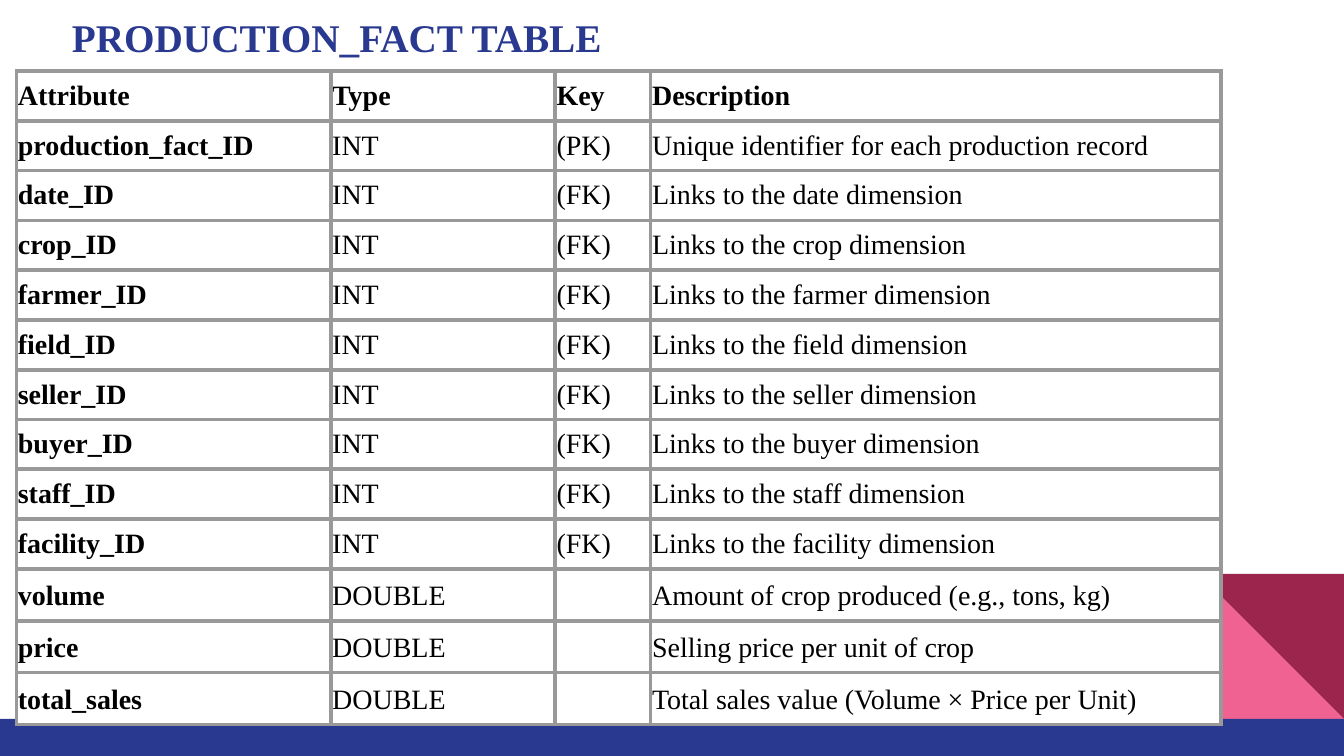
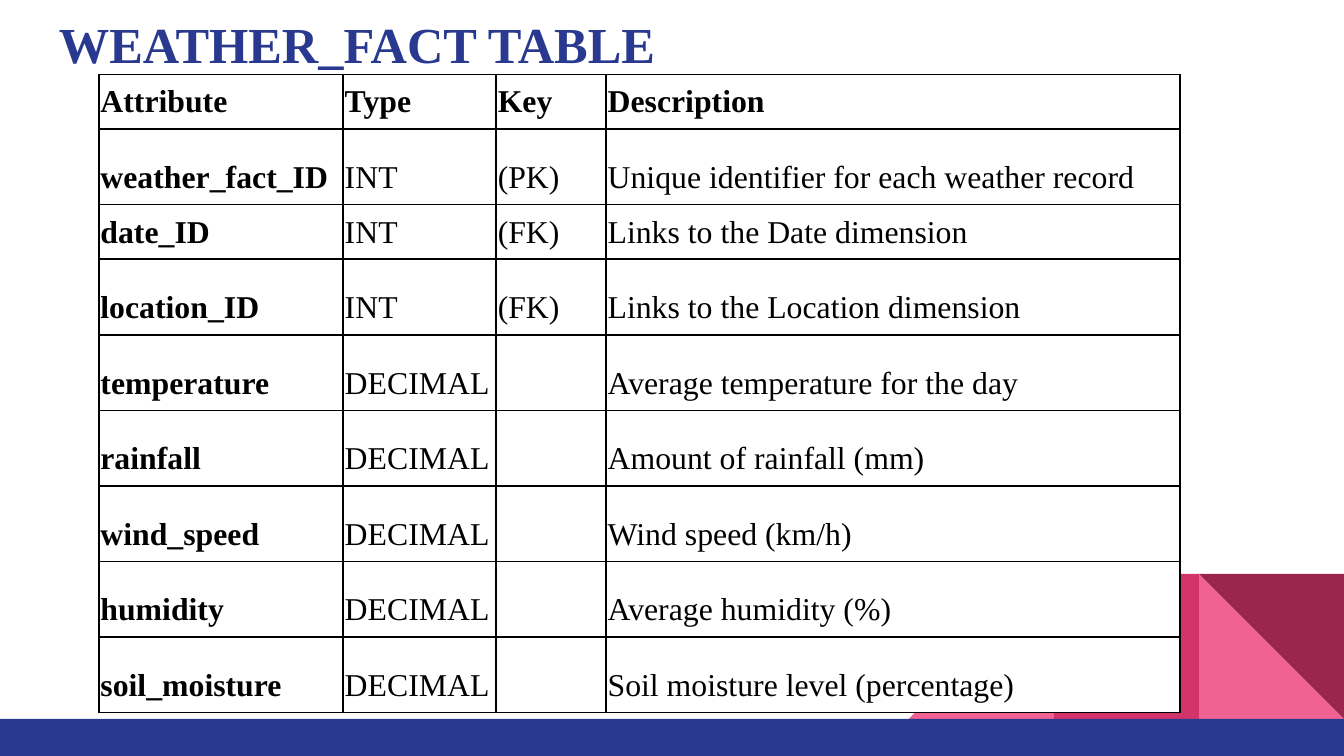
from lxml import etree
from pptx import Presentation
from pptx.dml.color import RGBColor
from pptx.enum.shapes import MSO_SHAPE
from pptx.enum.text import MSO_ANCHOR
from pptx.oxml.ns import qn
from pptx.util import Pt

RECTANGLE = MSO_SHAPE.RECTANGLE
TRIANGLE = MSO_SHAPE.RIGHT_TRIANGLE
TOP = MSO_ANCHOR.TOP
BOTTOM = MSO_ANCHOR.BOTTOM

# Shared look
WHITE = RGBColor(0xFF, 0xFF, 0xFF)
BLACK = RGBColor(0x00, 0x00, 0x00)
GRAY = RGBColor(0x99, 0x99, 0x99)
NAVY = RGBColor(0x2A, 0x39, 0x90)
PINK = RGBColor(0xF0, 0x62, 0x92)
ROSE = RGBColor(0xD2, 0x33, 0x69)
WINE = RGBColor(0x9C, 0x25, 0x4D)
FONT = "Times New Roman"

# Page geometry in points
WIDTH, HEIGHT = 720, 405
BAND_TOP = 385.1
TILE = 77.7

# Table contents
HEADER = ("Attribute", "Type", "Key", "Description")
LINKED = ("date", "crop", "farmer", "field", "seller", "buyer", "staff", "facility")
PRODUCTION_ROWS = [
    HEADER,
    ("production_fact_ID", "INT", "(PK)", "Unique identifier for each production record"),
    *((f"{name}_ID", "INT", "(FK)", f"Links to the {name} dimension") for name in LINKED),
    ("volume", "DOUBLE", "", "Amount of crop produced (e.g., tons, kg)"),
    ("price", "DOUBLE", "", "Selling price per unit of crop"),
    ("total_sales", "DOUBLE", "", "Total sales value (Volume × Price per Unit)"),
]
WEATHER_ROWS = [
    HEADER,
    ("weather_fact_ID", "INT", "(PK)", "Unique identifier for each weather record"),
    ("date_ID", "INT", "(FK)", "Links to the Date dimension"),
    ("location_ID", "INT", "(FK)", "Links to the Location dimension"),
    ("temperature", "DECIMAL", "", "Average temperature for the day"),
    ("rainfall", "DECIMAL", "", "Amount of rainfall (mm)"),
    ("wind_speed", "DECIMAL", "", "Wind speed (km/h)"),
    ("humidity", "DECIMAL", "", "Average humidity (%)"),
    ("soil_moisture", "DECIMAL", "", "Soil moisture level (percentage)"),
]


def add_block(slide, kind, left, top, width, height, color, rotation=0):
    shape = slide.shapes.add_shape(kind, Pt(left), Pt(top), Pt(width), Pt(height))
    shape.shadow.inherit = False
    shape.fill.solid()
    shape.fill.fore_color.rgb = color
    shape.line.fill.background()
    shape.rotation = rotation


def add_decorated_slide(presentation):
    slide = presentation.slides.add_slide(presentation.slide_layouts[6])
    slide.background.fill.solid()
    slide.background.fill.fore_color.rgb = WHITE
    # Corner tiles, counted from the right edge
    for place, kind, color, rotation in (
        (1, TRIANGLE, PINK, 0),
        (3, TRIANGLE, PINK, 270),
        (2, RECTANGLE, ROSE, 0),
        (1, TRIANGLE, WINE, 180),
    ):
        add_block(slide, kind, WIDTH - place * TILE, BAND_TOP - TILE, TILE, TILE, color, rotation)
    # Bottom band
    add_block(slide, RECTANGLE, 0, BAND_TOP, WIDTH, HEIGHT - BAND_TOP, NAVY)
    return slide


def set_font(paragraph, size, color, bold):
    font = paragraph.font
    font.name = FONT
    font.size = Pt(size)
    font.bold = bold
    font.color.rgb = color


def add_title(slide, text, left, width, height, size):
    frame = slide.shapes.add_textbox(Pt(left), 0, Pt(width), Pt(height)).text_frame
    frame.word_wrap = True
    frame.vertical_anchor = TOP
    frame.margin_left = frame.margin_right = Pt(7.2)
    frame.margin_top = frame.margin_bottom = Pt(7.2)
    paragraph = frame.paragraphs[0]
    paragraph.text = text
    set_font(paragraph, size, NAVY, True)


def set_borders(cell, color, width):
    properties = cell._tc.get_or_add_tcPr()
    for side in ("a:lnL", "a:lnR", "a:lnT", "a:lnB"):
        line = etree.SubElement(properties, qn(side), w=str(Pt(width)))
        fill = etree.SubElement(line, qn("a:solidFill"))
        etree.SubElement(fill, qn("a:srgbClr"), val=str(color))


def fill_cell(cell, text, size, bold, border_color, border_width):
    set_borders(cell, border_color, border_width)
    cell.fill.solid()
    cell.fill.fore_color.rgb = WHITE
    cell.vertical_anchor = BOTTOM
    cell.margin_left = cell.margin_right = cell.margin_top = Pt(0.8)
    cell.margin_bottom = Pt(5)
    if text:
        paragraph = cell.text_frame.paragraphs[0]
        paragraph.text = text
        paragraph.line_spacing = 1.15
        set_font(paragraph, size, BLACK, bold)


def add_attribute_table(slide, rows, left, top, column_widths, row_heights,
                        size, border_color, border_width):
    table = slide.shapes.add_table(
        len(rows), len(column_widths), Pt(left), Pt(top),
        Pt(sum(column_widths)), Pt(sum(row_heights))).table
    table.first_row = False
    table.horz_banding = False
    for column, width in zip(table.columns, column_widths):
        column.width = Pt(width)
    for row_index, (row, height) in enumerate(zip(table.rows, row_heights)):
        row.height = Pt(height)
        for column_index, text in enumerate(rows[row_index]):
            bold = row_index == 0 or column_index == 0
            fill_cell(row.cells[column_index], text, size, bold, border_color, border_width)


def main():
    presentation = Presentation()
    presentation.slide_width = Pt(WIDTH)
    presentation.slide_height = Pt(HEIGHT)

    # Production facts
    slide = add_decorated_slide(presentation)
    add_attribute_table(slide, PRODUCTION_ROWS, 8.8, 38, (168.4, 120.2, 51.2, 305.6),
                        [26.7] * 10 + [27.3] * 3, 15, GRAY, 2.25)
    add_title(slide, "PRODUCTION_FACT TABLE", 31.5, 623, 24, 21)

    # Weather facts
    slide = add_decorated_slide(presentation)
    add_attribute_table(slide, WEATHER_ROWS, 53, 39.9, (130.9, 82, 58.9, 307.5),
                        [28.1, 40.5, 28.1] + [40.5] * 6, 17, BLACK, 1)
    add_title(slide, "WEATHER_FACT TABLE", 24.5, 671, 47.5, 27)

    presentation.save("out.pptx")


if __name__ == "__main__":
    main()
